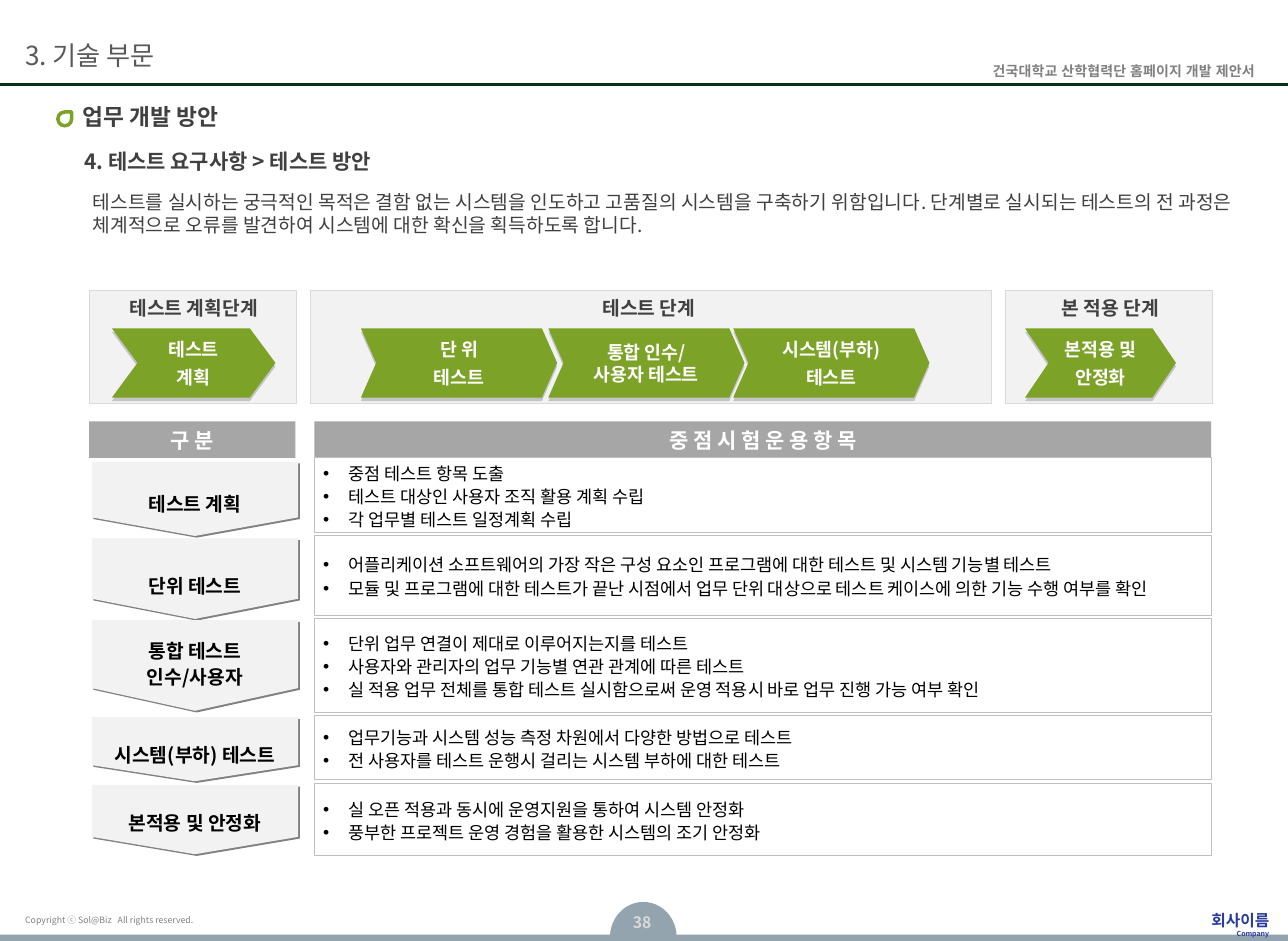
from lxml.etree import SubElement
from pptx import Presentation
from pptx.dml.color import RGBColor
from pptx.enum.shapes import MSO_CONNECTOR, MSO_SHAPE
from pptx.enum.text import MSO_ANCHOR, PP_ALIGN
from pptx.oxml.ns import qn
from pptx.util import Pt

PX = 9144
FONT = "Noto Sans CJK KR"
WHITE = RGBColor(0xFF, 0xFF, 0xFF)
BLACK = RGBColor(0, 0, 0)
DARK = RGBColor(0x40, 0x40, 0x40)
HEADING = RGBColor(0x59, 0x59, 0x59)
GRAY = RGBColor(0x80, 0x80, 0x80)
HEAD_FILL = RGBColor(0xA6, 0xA6, 0xA6)
BORDER = RGBColor(0xBF, 0xBF, 0xBF)
PALE_LINE = RGBColor(0xD9, 0xD9, 0xD9)
PANEL = RGBColor(0xF2, 0xF2, 0xF2)
GREEN = RGBColor(0x7C, 0xA2, 0x28)
DEEP_GREEN = RGBColor(0x09, 0x30, 0x19)
SLATE = RGBColor(0x93, 0xA4, 0xAE)
NAVY = RGBColor(0x29, 0x3B, 0x9F)

PHASES = [
    ("테스트 계획단계", 71, 165, (81, 146), [
        (89, 130, 0.37, 3.2, ["테스트", "계획"])]),
    ("테스트 단계", 247, 541, (443, 146), [
        (287, 156, 0.22, 3.2, ["단 위", "테스트"]),
        (436, 156, 0.22, 0, ["통합 인수/", "사용자 테스트"]),
        (583, 156, 0.22, 3.2, ["시스템(부하)", "테스트"])]),
    ("본 적용 단계", 799, 165, (810, 146), [
        (815, 120, 0.34, 3.2, ["본적용 및", "안정화"])]),
]
ROWS = [
    (59, 3, 59, ["테스트 계획"], [
        "중점 테스트 항목 도출",
        "테스트 대상인 사용자 조직 활용 계획 수립",
        "각 업무별 테스트 일정계획 수립"]),
    (63, 2, 64, ["단위 테스트"], [
        "어플리케이션 소프트웨어의 가장 작은 구성 요소인 프로그램에 대한 테스트 및 시스템 기능별 테스트",
        "모듈 및 프로그램에 대한 테스트가 끝난 시점에서 업무 단위 대상으로 테스트 케이스에 의한 기능 수행 여부를 확인"]),
    (74, 1, 72, ["통합 테스트", "인수/사용자"], [
        "단위 업무 연결이 제대로 이루어지는지를 테스트",
        "사용자와 관리자의 업무 기능별 연관 관계에 따른 테스트",
        "실 적용 업무 전체를 통합 테스트 실시함으로써 운영 적용시 바로 업무 진행 가능 여부 확인"]),
    (51, 1, 51, ["시스템(부하) 테스트"], [
        "업무기능과 시스템 성능 측정 차원에서 다양한 방법으로 테스트",
        "전 사용자를 테스트 운행시 걸리는 시스템 부하에 대한 테스트"]),
    (57, 1, 55, ["본적용 및 안정화"], [
        "실 오픈 적용과 동시에 운영지원을 통하여 시스템 안정화",
        "풍부한 프로젝트 운영 경험을 활용한 시스템의 조기 안정화"]),
]


def emu(*px):
    return [round(v * PX) for v in px]


def write(sp, lines, size, color, bold=False, align=PP_ALIGN.LEFT, ins=(0, 0, 0, 0),
          anchor=MSO_ANCHOR.TOP, wrap=True, spacing=None, gap=0, bullet=False, font=FONT):
    tf = sp.text_frame
    left, top, right, bottom = emu(*ins)
    frame = {"margin_left": left, "margin_top": top, "margin_right": right,
             "margin_bottom": bottom, "vertical_anchor": anchor, "word_wrap": wrap}
    for name, value in frame.items():
        setattr(tf, name, value)
    for i, line in enumerate(lines):
        p = tf.add_paragraph() if i else tf.paragraphs[0]
        if bullet:
            pPr = p._p.get_or_add_pPr()
            pPr.set("marL", str(20 * PX))
            pPr.set("indent", str(-20 * PX))
            SubElement(pPr, qn("a:buFont")).set("typeface", "Arial")
            SubElement(pPr, qn("a:buChar")).set("char", "•")
        p.alignment = align
        if spacing:
            p.line_spacing = spacing
        if i and gap:
            p.space_before = Pt(gap)
        r = p.add_run()
        r.text = line
        for name, value in {"size": Pt(size), "bold": bold, "name": font}.items():
            setattr(r.font, name, value)
        r.font.color.rgb = color
        SubElement(r._r.get_or_add_rPr(), qn("a:ea")).set("typeface", font)


def text(s, box, lines, size, color, **style):
    sp = s.shapes.add_textbox(*emu(*box))
    write(sp, lines, size, color, **style)
    return sp


def shape(s, kind, box, fill, line=None, width=0.5, adj=()):
    sp = s.shapes.add_shape(kind, *emu(*box))
    sp.shadow.inherit = False
    sp.fill.solid()
    sp.fill.fore_color.rgb = fill
    if line is None:
        sp.line.fill.background()
    else:
        sp.line.color.rgb = line
        sp.line.width = Pt(width)
    for i, value in enumerate(adj):
        sp.adjustments[i] = value
    return sp


def cast_shadow(sp, alpha, dist, angle):
    effects = sp._element.spPr.find(qn("a:effectLst"))
    shadow = SubElement(effects, qn("a:outerShdw"), blurRad="0", dist=str(Pt(dist)),
                        dir=str(angle * 60000), algn="ctr", rotWithShape="0")
    color = SubElement(shadow, qn("a:srgbClr"), val=str(GRAY))
    SubElement(color, qn("a:alpha"), val=str(alpha * 1000))


def header(s, x, y, w):
    rule = s.shapes.add_connector(MSO_CONNECTOR.STRAIGHT, *emu(x, y + 67, x + w, y + 67))
    rule.line.color.rgb = DEEP_GREEN
    rule.line.width = Pt(1.5)
    SubElement(rule._element.spPr, qn("a:effectLst"))
    text(s, (x + 747, y + 45, 260, 23), ["건국대학교 산학협력단 홈페이지 개발 제안서"], 8, GRAY,
         bold=True, align=PP_ALIGN.RIGHT, ins=(9, 5, 9, 5), font="Arial")
    text(s, (x + 2, y + 22, 631, 44), ["3. 기술 부문"], 15, HEADING,
         ins=(18, 5, 9, 5), anchor=MSO_ANCHOR.MIDDLE)


def footer(s, x, y, w, h):
    shape(s, MSO_SHAPE.CHORD, (x + 485, y, 53, 56), SLATE, adj=(108.41, 214.66))
    text(s, (x + 12, y + 6, 261, 18), ["Copyright ⓒ Sol@Biz   All rights reserved."], 5, GRAY,
         ins=(8, 4, 8, 4))
    shape(s, MSO_SHAPE.RECTANGLE, (x, y + h - 5, w, 5), SLATE)
    text(s, (x + 485, y + 4, 51, 27), ["38"], 9, PALE_LINE, bold=True,
         align=PP_ALIGN.CENTER, ins=(9, 5, 9, 5))
    for top, height, name, size in ((7, 15, "회사이름", 9), (22, 7, "Company", 4)):
        text(s, (x + 918, y + top, 91, height), [name], size, NAVY, bold=True,
             align=PP_ALIGN.RIGHT)


def intro(s, x, y, w):
    shape(s, MSO_SHAPE.TEAR, (x, y + 7, 11, 11), WHITE, GREEN, 2)
    text(s, (x + 20, y, w - 20, 22), ["업무 개발 방안"], 13, DARK, bold=True)
    text(s, (x + 21, y + 36, 507, 20), ["4. 테스트 요구사항 > 테스트 방안"], 12, DARK, bold=True)
    text(s, (x + 18, y + 64, 926, 77), [
        "테스트를 실시하는 궁극적인 목적은 결함 없는 시스템을 인도하고 고품질의 시스템을 구축하기 위함입니다. "
        "단계별로 실시되는 테스트의 전 과정은 체계적으로 오류를 발견하여 시스템에 대한 확신을 획득하도록 합니다."],
        11, DARK, ins=(10, 5, 10, 5))


def phase(s, y, title, x, w, label, steps):
    shape(s, MSO_SHAPE.RECTANGLE, (x, y, w, 90), PANEL, PALE_LINE)
    for left, width, point, gap, lines in steps:
        sp = shape(s, MSO_SHAPE.CHEVRON, (left, y + 30, width, 55), GREEN, adj=(point,))
        cast_shadow(sp, 40, 2, 90)
        write(sp, lines, 10.5, WHITE, bold=True, align=PP_ALIGN.CENTER,
              anchor=MSO_ANCHOR.MIDDLE, gap=gap)
    text(s, (label[0], y, label[1], 28), [title], 11, DARK, bold=True,
         align=PP_ALIGN.CENTER, ins=(9, 5, 9, 5))


def stage_arrow(s, x, y, w, h, lines):
    box = (x + (w - h) / 2, y + (h - w) / 2, h, w)
    sp = shape(s, MSO_SHAPE.PENTAGON, box, PANEL, adj=(0.25,))
    sp.rotation = 90
    cast_shadow(sp, 100, 1.4, 45)
    write(sp, lines, 11, BLACK, bold=True, align=PP_ALIGN.CENTER, ins=(39, 5, 9, 5),
          anchor=MSO_ANCHOR.BOTTOM, wrap=False, spacing=1.1)
    sp.text_frame._txBody.bodyPr.set("vert", "vert270")


def focus_items(s, x, y):
    for left, width, title in ((x, 164, "구 분"), (x + 179, 713, "중 점 시 험 운 용 항 목")):
        sp = shape(s, MSO_SHAPE.RECTANGLE, (left, y, width, 29), HEAD_FILL)
        write(sp, [title], 12, WHITE, bold=True, align=PP_ALIGN.CENTER,
              anchor=MSO_ANCHOR.MIDDLE, wrap=False)
    top = y + 29
    for height, drop, arrow_height, stage, items in ROWS:
        stage_arrow(s, x + 2, top + drop, 164, arrow_height, stage)
        sp = shape(s, MSO_SHAPE.RECTANGLE, (x + 179, top, 713, height), WHITE, BORDER)
        write(sp, items, 10, BLACK, ins=(7, 4, 7, 4), anchor=MSO_ANCHOR.MIDDLE,
              spacing=1.1, bullet=True)
        top += height + 3


def main():
    prs = Presentation()
    prs.slide_width, prs.slide_height = emu(1024, 748)
    s = prs.slides.add_slide(prs.slide_layouts[6])
    footer(s, 0, 717, 1024, 31)
    header(s, 0, 0, 1024)
    intro(s, 46, 82, 976)
    for item in PHASES:
        phase(s, 231, *item)
    focus_items(s, 71, 335)
    prs.save("out.pptx")


if __name__ == "__main__":
    main()
